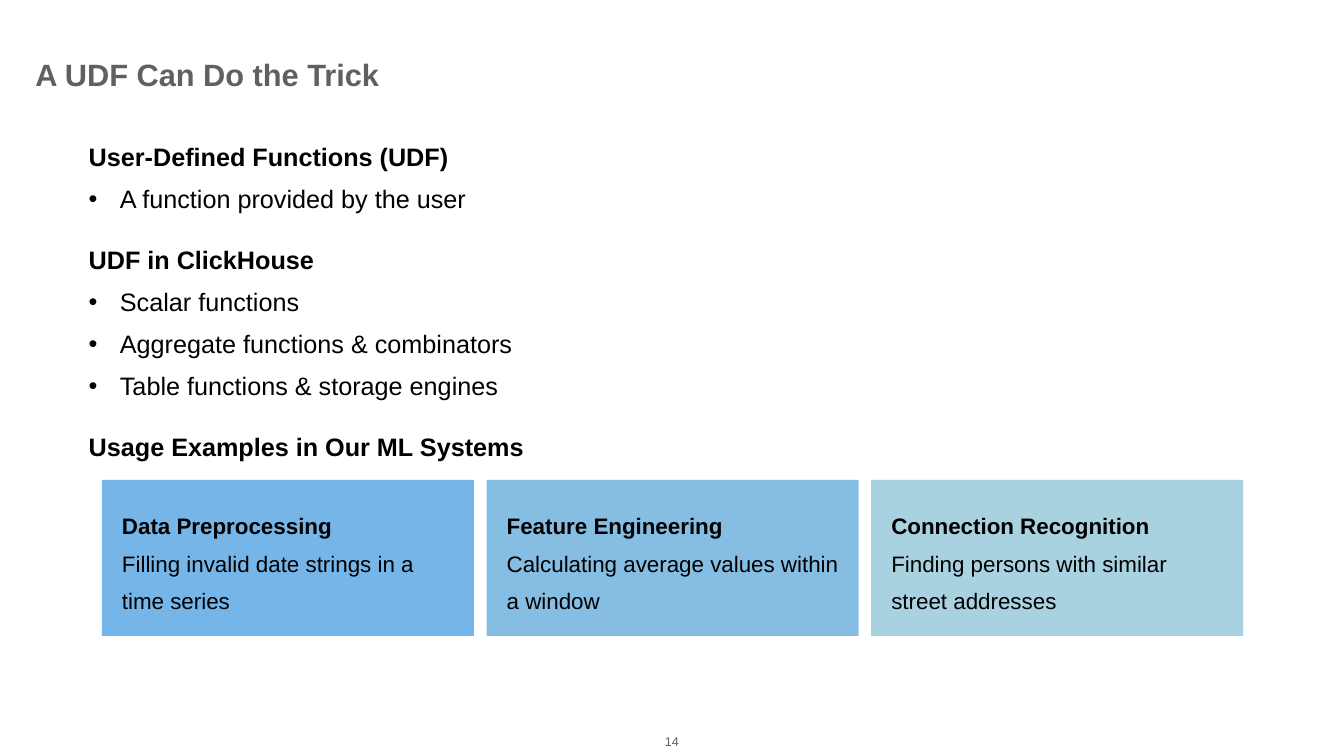
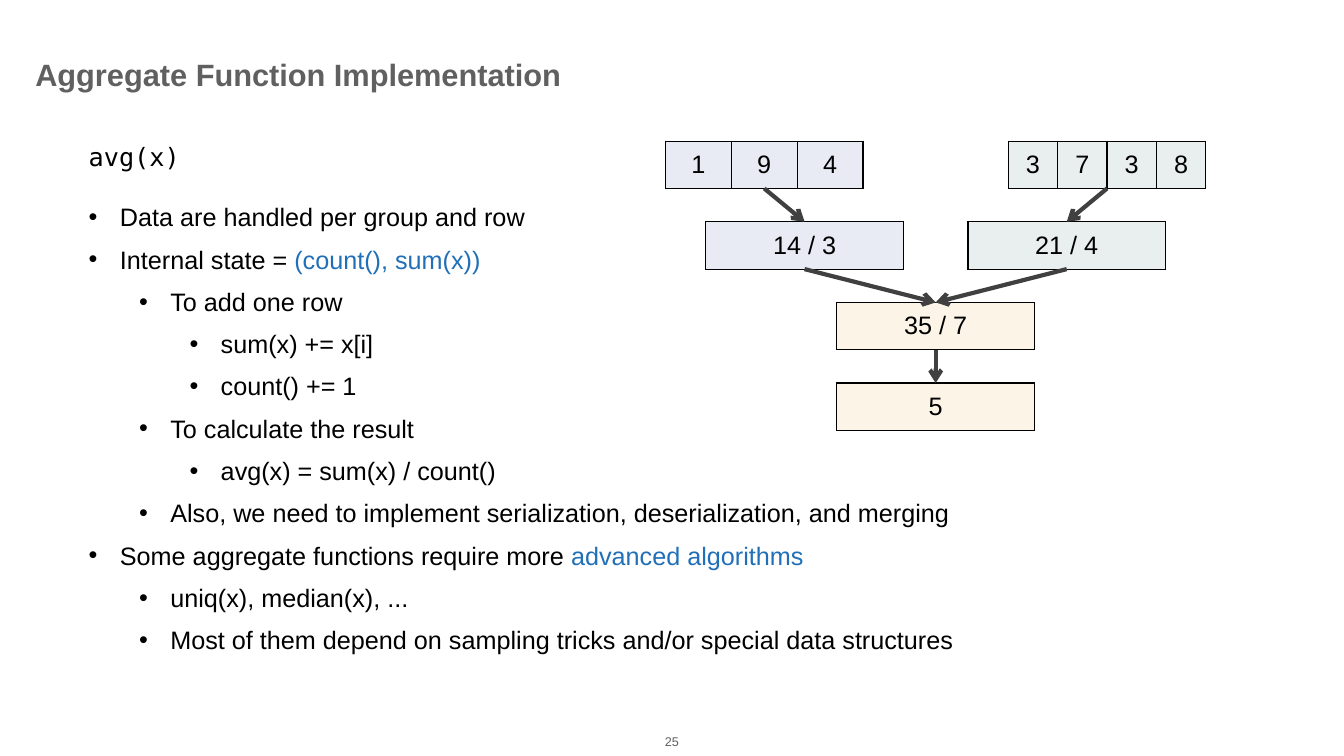
"""Build two slides about user-defined and aggregate functions."""
from dataclasses import dataclass
from typing import Any, Optional

from lxml.etree import SubElement
from pptx import Presentation
from pptx.dml.color import RGBColor
from pptx.enum.shapes import MSO_CONNECTOR as CONN, MSO_SHAPE as SHAPE
from pptx.enum.text import MSO_ANCHOR as ANCHOR, MSO_AUTO_SIZE as AUTO, PP_ALIGN as ALIGN
from pptx.oxml.ns import qn
from pptx.util import Inches, Pt

COLORS = {
    "text": "000000", "grey": "606060", "accent": "2170B7", "arrow": "404040",
    "prep": "76B5E8", "feature": "85BDE3", "connect": "A9D2E1",
    "left": "E8EBF3", "right": "E9EFEE", "merged": "FDF4E8",
}
SANS, MONO = "Arial", "DejaVu Sans Mono"
BODY = {"name": SANS, "size": Pt(18), "bold": False}
CARD = {**BODY, "size": Pt(16)}
TITLE = {"name": SANS, "size": Pt(22), "bold": True}
FOOTER = {"name": SANS, "size": Pt(9)}
BOLD = {"bold": True}

TITLE_FRAME = {
    "vertical_anchor": ANCHOR.BOTTOM, "auto_size": AUTO.NONE, "word_wrap": True,
    "margin_left": Inches(0.08), "margin_right": 0, "margin_top": 0, "margin_bottom": Inches(0.06),
}
FOOTER_FRAME = {
    "vertical_anchor": ANCHOR.MIDDLE, "word_wrap": True,
    "margin_left": 0, "margin_right": 0, "margin_top": 0, "margin_bottom": 0,
}
BODY_FRAME = {
    "auto_size": AUTO.SHAPE_TO_FIT_TEXT, "word_wrap": True,
    "margin_left": Inches(0.05), "margin_right": Inches(0.05), "margin_top": 0, "margin_bottom": 0,
}
CARD_FRAME = {
    "vertical_anchor": ANCHOR.MIDDLE, "word_wrap": True,
    "margin_left": Inches(0.2), "margin_right": Inches(0.2),
    "margin_top": Inches(0.05), "margin_bottom": Inches(0.05),
}
LINE_SPACING, SECTION_GAP = 1.4, Pt(13)
INDENT, LEVEL_STEP = 0.31, 0.5
TABLE_W, TABLE_H = 1.96, 0.47


@dataclass
class Line:
    text: str
    level: Optional[int] = None
    accent: str = ""
    gap: bool = False
    bold: bool = False
    font: str = SANS


@dataclass
class Card:
    title: str
    text: str
    color: str


@dataclass
class State:
    left: float
    top: float
    values: list[str]
    color: str

    @property
    def middle(self) -> float:
        return self.left + TABLE_W / 2


def rgb(name: str) -> RGBColor:
    return RGBColor.from_string(COLORS[name])


def apply(obj: Any, values: dict[str, Any]) -> None:
    for key, value in values.items():
        setattr(obj, key, value)


def add_run(p: Any, text: str, font: dict[str, Any], color: str = "text") -> None:
    r = p.add_run()
    r.text = text
    apply(r.font, font)
    r.font.color.rgb = rgb(color)


def add_bullet(p: Any, level: int) -> None:
    p.level = level
    pPr = p._p.get_or_add_pPr()
    pPr.set("marL", str(Inches(INDENT + level * LEVEL_STEP)))
    pPr.set("indent", str(-Inches(INDENT)))
    SubElement(pPr, qn("a:buFont")).set("typeface", SANS)
    SubElement(pPr, qn("a:buChar")).set("char", "•")


def add_slide(prs: Any, title: str, number: str) -> Any:
    s = prs.slides.add_slide(prs.slide_layouts[5])
    sp = s.shapes.title
    apply(sp, {"left": Inches(0.27), "top": Inches(0.3),
               "width": Inches(10.83), "height": Inches(0.68)})
    apply(sp.text_frame, TITLE_FRAME)
    p = sp.text_frame.paragraphs[0]
    p.alignment = ALIGN.LEFT
    add_run(p, title, TITLE, "grey")
    sp = s.shapes.add_textbox(Inches(6.45), Inches(7.2), Inches(0.43), Inches(0.31))
    apply(sp.text_frame, FOOTER_FRAME)
    p = sp.text_frame.paragraphs[0]
    p.alignment = ALIGN.CENTER
    add_run(p, number, FOOTER, "grey")
    return s


def add_body(s: Any, height: float, lines: list[Line]) -> None:
    sp = s.shapes.add_textbox(Inches(0.83), Inches(1.28), Inches(11.34), Inches(height))
    tf = sp.text_frame
    apply(tf, BODY_FRAME)
    for i, line in enumerate(lines):
        p = tf.add_paragraph() if i else tf.paragraphs[0]
        if line.level is not None:
            add_bullet(p, line.level)
        p.line_spacing = LINE_SPACING
        if line.gap:
            p.space_before = SECTION_GAP
        add_run(p, line.text, {**BODY, "name": line.font, "bold": line.bold})
        if line.accent:
            add_run(p, line.accent, BODY, "accent")


def add_cards(s: Any, cards: list[Card]) -> None:
    left, right, width = 1.01, 12.33, 3.69
    step = (right - left - width) / (len(cards) - 1)
    for i, card in enumerate(cards):
        sp = s.shapes.add_shape(SHAPE.RECTANGLE, Inches(left + i * step), Inches(4.76),
                                Inches(width), Inches(1.55))
        sp.shadow.inherit = False
        sp.fill.solid()
        sp.fill.fore_color.rgb = rgb(card.color)
        sp.line.fill.background()
        tf = sp.text_frame
        apply(tf, CARD_FRAME)
        heading, detail = tf.paragraphs[0], tf.add_paragraph()
        for p, text, font in ((heading, card.title, {**CARD, **BOLD}), (detail, card.text, CARD)):
            apply(p, {"alignment": ALIGN.LEFT, "line_spacing": LINE_SPACING})
            add_run(p, text, font)


def add_border(cell: Any) -> None:
    tcPr = cell._tc.get_or_add_tcPr()
    for side in ("lnL", "lnR", "lnT", "lnB"):
        ln = SubElement(tcPr, qn(f"a:{side}"), w=str(Pt(1)))
        fill = SubElement(ln, qn("a:solidFill"))
        SubElement(fill, qn("a:srgbClr"), val=COLORS["text"])


def add_state(s: Any, state: State) -> None:
    count = len(state.values)
    frame = s.shapes.add_table(1, count, Inches(state.left), Inches(state.top),
                               Inches(TABLE_W), Inches(TABLE_H))
    table = frame.table
    apply(table, {"first_row": False, "horz_banding": False})
    for i, value in enumerate(state.values):
        table.columns[i].width = Inches(TABLE_W / count)
        cell = table.cell(0, i)
        add_border(cell)
        cell.fill.solid()
        cell.fill.fore_color.rgb = rgb(state.color)
        cell.vertical_anchor = ANCHOR.MIDDLE
        p = cell.text_frame.paragraphs[0]
        p.alignment = ALIGN.CENTER
        add_run(p, value, BODY)


def add_arrow(s: Any, start: State, end: State) -> None:
    cx = s.shapes.add_connector(CONN.STRAIGHT, Inches(start.middle), Inches(start.top + TABLE_H),
                                Inches(end.middle), Inches(end.top))
    cx.line.color.rgb = rgb("arrow")
    cx.line.width = Pt(3)
    SubElement(cx.line._get_or_add_ln(), qn("a:tailEnd"), type="arrow")
    SubElement(cx._element.spPr, qn("a:effectLst"))


def udf_slide(prs: Any) -> None:
    s = add_slide(prs, "A UDF Can Do the Trick", "14")
    add_body(s, 3.34, [
        Line("User-Defined Functions (UDF)", bold=True),
        Line("A function provided by the user", 0),
        Line("UDF in ClickHouse", gap=True, bold=True),
        Line("Scalar functions", 0),
        Line("Aggregate functions & combinators", 0),
        Line("Table functions & storage engines", 0),
        Line("Usage Examples in Our ML Systems", gap=True, bold=True),
    ])
    add_cards(s, [
        Card("Data Preprocessing", "Filling invalid date strings in a time series", "prep"),
        Card("Feature Engineering", "Calculating average values within a window", "feature"),
        Card("Connection Recognition", "Finding persons with similar street addresses", "connect"),
    ])


def aggregate_slide(prs: Any) -> None:
    s = add_slide(prs, "Aggregate Function Implementation", "25")
    add_body(s, 5.27, [
        Line("avg(x)", font=MONO),
        Line("Data are handled per group and row", 0, gap=True),
        Line("Internal state = ", 0, "(count(), sum(x))"),
        Line("To add one row", 1),
        Line("sum(x) += x[i]", 2),
        Line("count() += 1", 2),
        Line("To calculate the result", 1),
        Line("avg(x) = sum(x) / count()", 2),
        Line("Also, we need to implement serialization, deserialization, and merging", 1),
        Line("Some aggregate functions require more ", 0, "advanced algorithms"),
        Line("uniq(x), median(x), ...", 1),
        Line("Most of them depend on sampling tricks and/or special data structures", 1),
    ])
    rows_left = State(6.6, 1.4, ["1", "9", "4"], "left")
    rows_right = State(10, 1.4, ["3", "7", "3", "8"], "right")
    sum_left = State(7, 2.2, ["14 / 3"], "left")
    sum_right = State(9.6, 2.2, ["21 / 4"], "right")
    merged = State(8.3, 3, ["35 / 7"], "merged")
    result = State(8.3, 3.8, ["5"], "merged")
    for state in (rows_left, rows_right, sum_left, sum_right, merged, result):
        add_state(s, state)
    for start, end in ((rows_left, sum_left), (rows_right, sum_right),
                       (sum_left, merged), (sum_right, merged), (merged, result)):
        add_arrow(s, start, end)


def main() -> None:
    prs = Presentation()
    apply(prs, {"slide_width": Inches(13.33), "slide_height": Inches(7.5)})
    udf_slide(prs)
    aggregate_slide(prs)
    prs.save("out.pptx")


if __name__ == "__main__":
    main()
